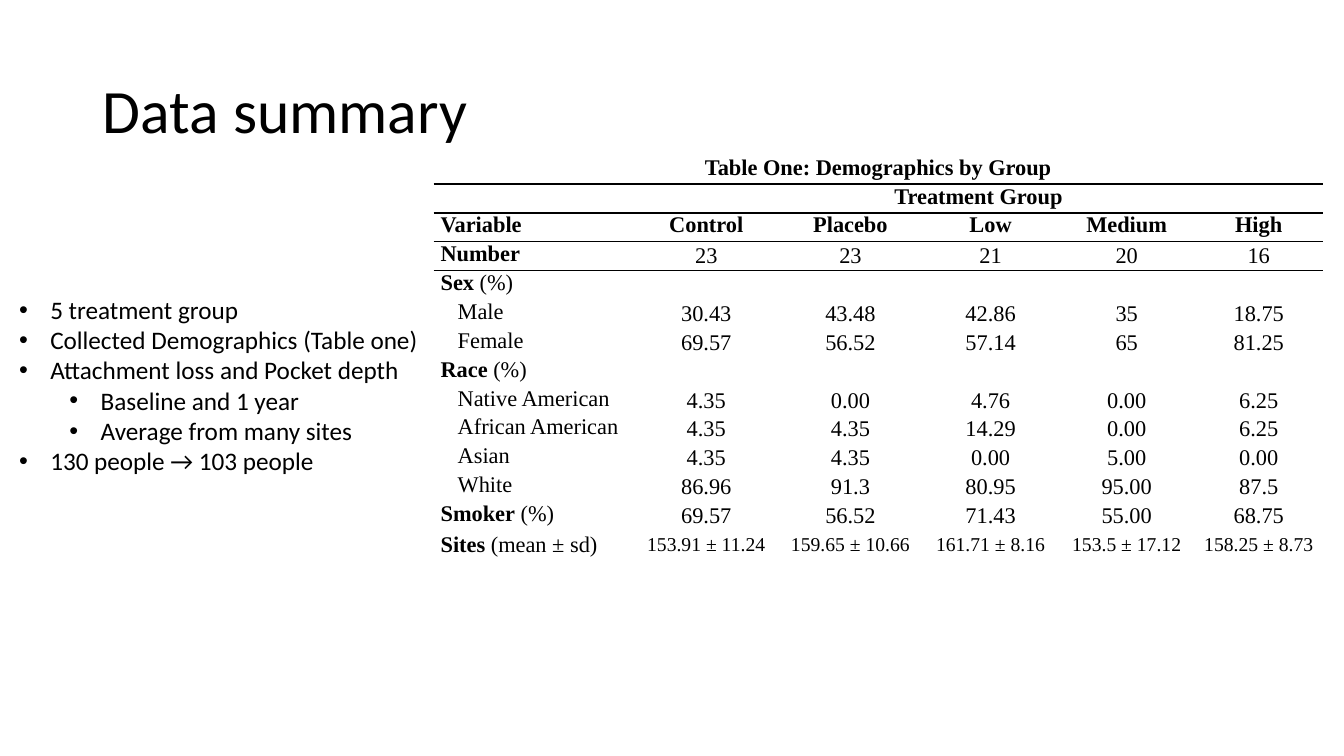
"""Build the data summary slide with its demographics table."""
from dataclasses import dataclass

from lxml.etree import SubElement
from pptx import Presentation
from pptx.dml.color import RGBColor
from pptx.enum.text import MSO_ANCHOR as Anchor, MSO_AUTO_SIZE as AutoSize, PP_ALIGN as Align
from pptx.oxml import parse_xml
from pptx.oxml.ns import nsdecls, qn
from pptx.util import Inches, Pt

BLACK = RGBColor(0, 0, 0)
BODY_FONT = "Calibri"
TABLE_FONT = "Times New Roman"
NO_STYLE = "{2D5ABB26-0587-4C30-8999-92F81FD0307C}"
COLUMN_WIDTHS = (1.99, 1.43, 1.43, 1.35, 1.35, 1.27)
TABLE_HEIGHT = 4.01
HEADER_ROWS = 3
RULE_WIDTHS = (1.5, 1, 1)
GROUPS = ("Control", "Placebo", "Low", "Medium", "High")


@dataclass(frozen=True)
class Bullet:
    text: str
    level: int = 0


@dataclass(frozen=True)
class Measure:
    label: str
    unit: str = ""
    values: tuple[str, ...] = ("",) * len(GROUPS)
    nested: bool = False
    size: int = 16
    anchor: Anchor = Anchor.TOP


BULLETS = (
    Bullet("5 treatment group"),
    Bullet("Collected Demographics (Table one)"),
    Bullet("Attachment loss and Pocket depth"),
    Bullet("Baseline and 1 year", 1),
    Bullet("Average from many sites", 1),
    Bullet("130 people → 103 people"),
)
MEASURES = (
    Measure("Number", values=("23", "23", "21", "20", "16")),
    Measure("Sex", " (%)"),
    Measure("Male", values=("30.43", "43.48", "42.86", "35", "18.75"), nested=True),
    Measure("Female", values=("69.57", "56.52", "57.14", "65", "81.25"), nested=True),
    Measure("Race", " (%)"),
    Measure("Native American", values=("4.35", "0.00", "4.76", "0.00", "6.25"), nested=True),
    Measure("African American", values=("4.35", "4.35", "14.29", "0.00", "6.25"), nested=True),
    Measure("Asian", values=("4.35", "4.35", "0.00", "5.00", "0.00"), nested=True),
    Measure("White", values=("86.96", "91.3", "80.95", "95.00", "87.5"), nested=True),
    Measure("Smoker", " (%)", ("69.57", "56.52", "71.43", "55.00", "68.75")),
    Measure("Sites", " (mean ± sd)",
            ("153.91 ± 11.24", "159.65 ± 10.66", "161.71 ± 8.16", "153.5 ± 17.12", "158.25 ± 8.73"),
            size=14, anchor=Anchor.MIDDLE),
)


def apply_format(target, **values) -> None:
    for name, value in values.items():
        setattr(target, name, value)


def add_run(paragraph, text: str, font: str, size: int, bold: bool = False) -> None:
    run = paragraph.add_run()
    run.text = text
    apply_format(run.font, name=font, size=Pt(size), bold=bold)
    run.font.color.rgb = BLACK


def write_cell(cell, text: str, size: int = 16, bold: bool = False,
               align: Align = Align.CENTER, anchor: Anchor = Anchor.TOP) -> None:
    cell.vertical_anchor = anchor
    paragraph = cell.text_frame.paragraphs[0]
    paragraph.alignment = align
    add_run(paragraph, text, TABLE_FONT, size, bold)


def add_border(cell, tag: str, width: float) -> None:
    cell_properties = cell._tc.get_or_add_tcPr()
    position = len(cell_properties.findall(qn("a:lnT")))
    cell_properties.insert(position, parse_xml(
        f'<a:{tag} {nsdecls("a")} w="{Pt(width)}"><a:solidFill>'
        f'<a:srgbClr val="{BLACK}"/></a:solidFill></a:{tag}>'))


def add_title(slide) -> None:
    title = slide.shapes.title
    apply_format(title, left=Inches(0.92), top=Inches(0.4), width=Inches(11.5), height=Inches(1.45))
    apply_format(title.text_frame, vertical_anchor=Anchor.MIDDLE, auto_size=AutoSize.NONE, word_wrap=True)
    paragraph = title.text_frame.paragraphs[0]
    apply_format(paragraph, alignment=Align.LEFT, line_spacing=0.9)
    add_run(paragraph, "Data summary", BODY_FONT, 44)


def add_bullets(slide) -> None:
    box = slide.shapes.add_textbox(Inches(0.09), Inches(2.87), Inches(4.21), Inches(1.92))
    frame = box.text_frame
    apply_format(frame, word_wrap=False, auto_size=AutoSize.SHAPE_TO_FIT_TEXT)
    for index, bullet in enumerate(BULLETS):
        paragraph = frame.add_paragraph() if index else frame.paragraphs[0]
        paragraph.level = bullet.level
        add_run(paragraph, bullet.text, BODY_FONT, 18)
        properties = paragraph._p.get_or_add_pPr()
        properties.set("marL", str(Inches(0.31 + 0.5 * bullet.level)))
        properties.set("indent", str(Inches(-0.31)))
        SubElement(properties, qn("a:buFont"), typeface="Arial")
        SubElement(properties, qn("a:buChar"), char="•")


def add_demographics(slide) -> None:
    row_count = HEADER_ROWS + len(MEASURES)
    table = slide.shapes.add_table(
        row_count, len(COLUMN_WIDTHS), Inches(4.3), Inches(1.54),
        Inches(sum(COLUMN_WIDTHS)), Inches(TABLE_HEIGHT)).table
    apply_format(table, first_row=False, horz_banding=False)
    table._tbl.tblPr.find(qn("a:tableStyleId")).text = NO_STYLE
    for column, width in zip(table.columns, COLUMN_WIDTHS):
        column.width = Inches(width)
    for row in table.rows:
        row.height = Inches(TABLE_HEIGHT / row_count)
    for cell in table.iter_cells():
        apply_format(cell, margin_left=Inches(0.07), margin_right=Inches(0.07), margin_top=0, margin_bottom=0)
        cell.fill.background()
    for row, width in enumerate(RULE_WIDTHS):
        for column in range(len(COLUMN_WIDTHS)):
            add_border(table.cell(row, column), "lnB", width)
            add_border(table.cell(row + 1, column), "lnT", width)

    table.cell(0, 0).merge(table.cell(0, len(GROUPS)))
    table.cell(1, 1).merge(table.cell(1, len(GROUPS)))
    write_cell(table.cell(0, 0), "Table One: Demographics by Group", bold=True)
    write_cell(table.cell(1, 1), "Treatment Group", bold=True)
    write_cell(table.cell(2, 0), "Variable", bold=True, align=Align.LEFT)
    for column, group in enumerate(GROUPS, 1):
        write_cell(table.cell(2, column), group, bold=True)

    for row, measure in enumerate(MEASURES, HEADER_ROWS):
        label = table.cell(row, 0)
        write_cell(label, measure.label, bold=not measure.nested, align=Align.LEFT, anchor=measure.anchor)
        if measure.nested:
            label.margin_left = Inches(0.24)
        if measure.unit:
            add_run(label.text_frame.paragraphs[0], measure.unit, TABLE_FONT, 16)
        for column, value in enumerate(measure.values, 1):
            if value:
                write_cell(table.cell(row, column), value, measure.size, anchor=Anchor.MIDDLE)

    for cell in table.iter_cells():
        paragraph = cell.text_frame.paragraphs[0]
        if not paragraph.runs:
            SubElement(paragraph._p, qn("a:endParaRPr"), sz="1600")


def main() -> None:
    presentation = Presentation()
    apply_format(presentation, slide_width=Inches(13.33), slide_height=Inches(7.5))
    slide = presentation.slides.add_slide(presentation.slide_layouts[5])
    add_title(slide)
    add_bullets(slide)
    add_demographics(slide)
    presentation.save("out.pptx")


if __name__ == "__main__":
    main()
